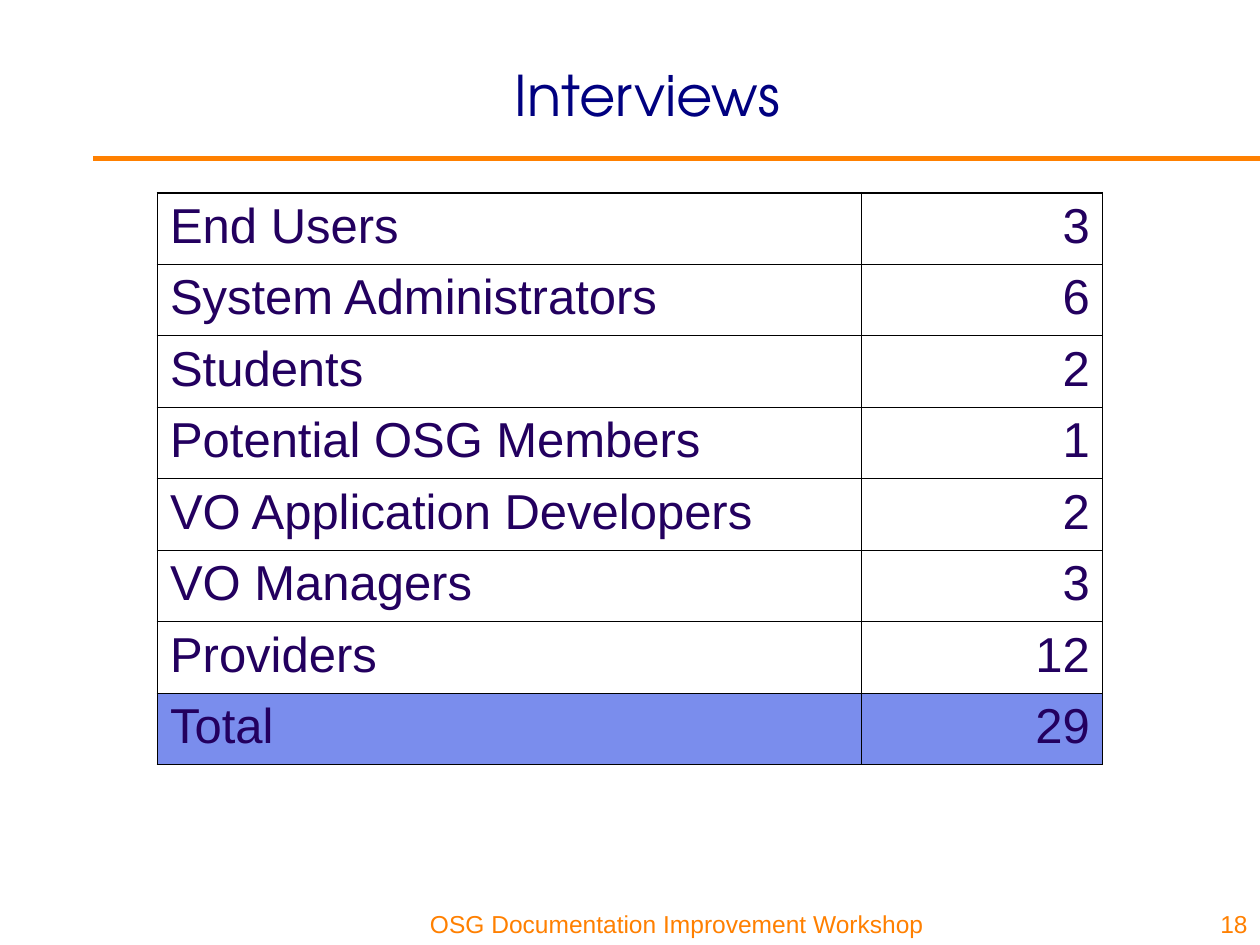
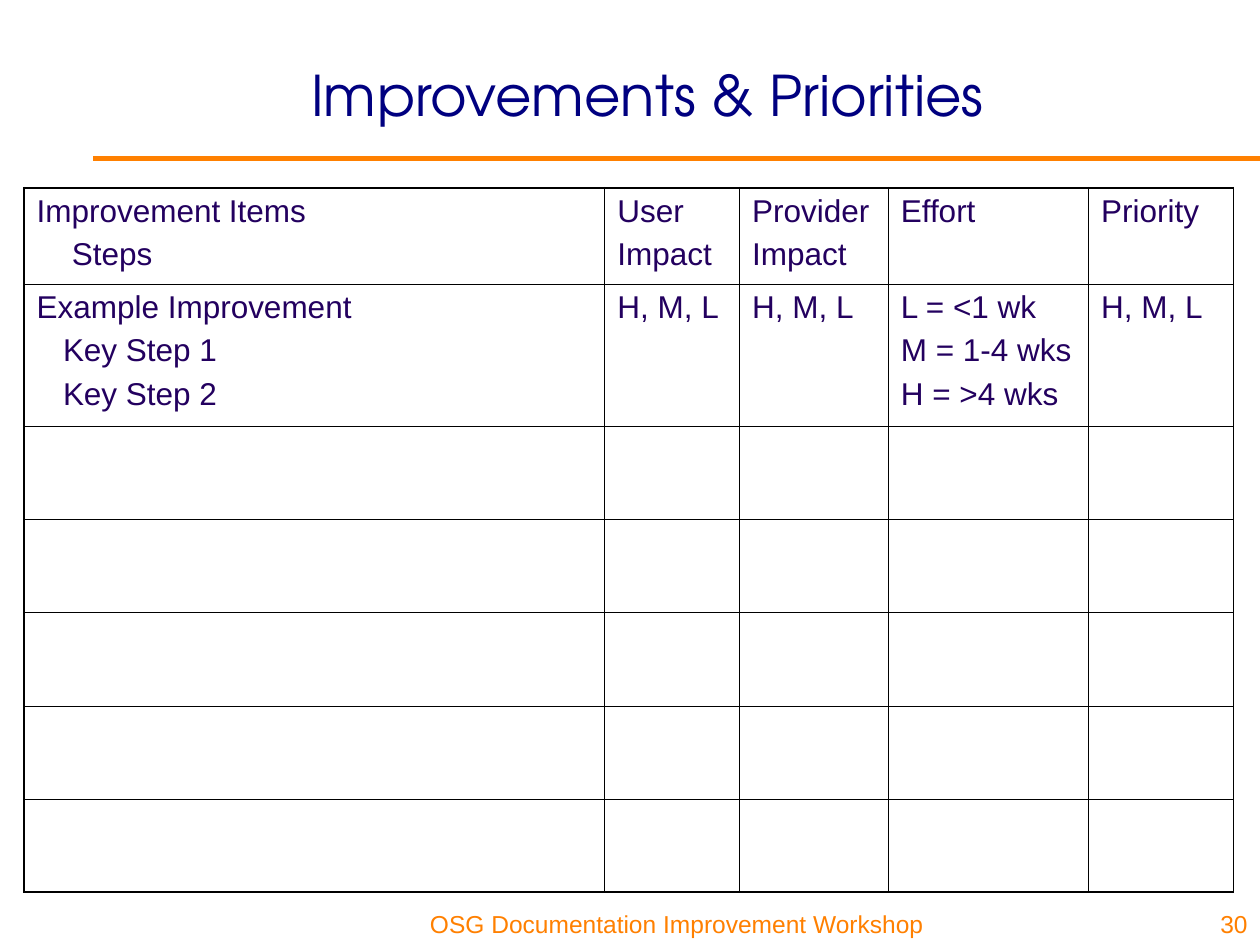
from lxml.etree import SubElement
from pptx import Presentation
from pptx.dml.color import RGBColor
from pptx.enum.shapes import MSO_CONNECTOR
from pptx.enum.text import MSO_ANCHOR, PP_ALIGN
from pptx.oxml.ns import qn
from pptx.util import Pt

SCALE = 9144
COLORS = {
    "title": "000080",
    "accent": "FF8000",
    "body": "23005F",
    "total": "7A8DED",
    "border": "000000",
}
TITLE_FONT = "TeX Gyre Adventor"
BODY_FONT = "Arial"
OUTER_BORDER, INNER_BORDER = 1.08, 0.45
FOOTER = "OSG Documentation Improvement Workshop"

INTERVIEWS = [
    ("End Users", "3"),
    ("System Administrators", "6"),
    ("Students", "2"),
    ("Potential OSG Members", "1"),
    ("VO Application Developers", "2"),
    ("VO Managers", "3"),
    ("Providers", "12"),
    ("Total", "29"),
]
LEVELS = "H, M, L"
EMPTY_ROWS = 5
IMPROVEMENTS = [
    ("Improvement Items\nSteps", "User\nImpact", "Provider\nImpact", "Effort", "Priority"),
    (
        "Example Improvement\nKey Step 1\nKey Step 2",
        LEVELS,
        LEVELS,
        "L = <1 wk\nM = 1-4 wks\nH = >4 wks",
        LEVELS,
    ),
] + [("",) * 5] * EMPTY_ROWS


def px(length):
    return length * SCALE


class Deck:
    def __init__(self):
        self.presentation = Presentation()
        self.presentation.slide_width = px(1000)
        self.presentation.slide_height = px(750)
        self.slide = None

    def add_slide(self, title, number):
        self.slide = self.presentation.slides.add_slide(self.presentation.slide_layouts[6])
        self.add_rule(74, 126, 1000, 126)
        self.add_text(FOOTER, (312, 700, 431, 50), align=PP_ALIGN.RIGHT)
        self.add_text(title, (134, 12, 760, 125), 32, TITLE_FONT, "title",
                      PP_ALIGN.CENTER, MSO_ANCHOR.MIDDLE)
        self.add_text(number, (954, 700, 46, 50), align=PP_ALIGN.RIGHT)

    def add_rule(self, left, top, right, bottom):
        line = self.slide.shapes.add_connector(
            MSO_CONNECTOR.STRAIGHT, px(left), px(top), px(right), px(bottom))
        line.line.color.rgb = RGBColor.from_string(COLORS["accent"])
        line.line.width = Pt(3)
        SubElement(line._element.spPr, qn("a:effectLst"))

    def add_text(self, text, box, size=14, font=BODY_FONT, color="accent",
                 align=PP_ALIGN.LEFT, anchor=MSO_ANCHOR.BOTTOM):
        shape = self.slide.shapes.add_textbox(*map(px, box))
        text_frame = shape.text_frame
        text_frame.word_wrap = True
        text_frame.vertical_anchor = anchor
        text_frame.text = text
        self.format_text(text_frame, size, font, color, align)

    def format_text(self, text_frame, size, font, color, align, space=0):
        for index, paragraph in enumerate(text_frame.paragraphs):
            paragraph.alignment = align
            if index and space:
                paragraph.space_before = Pt(space)
            for run in paragraph.runs:
                run.font.size = Pt(size)
                run.font.name = font
                run.font.color.rgb = RGBColor.from_string(COLORS[color])

    def add_table(self, rows, box, widths, size, space=0, aligns=None):
        shape = self.slide.shapes.add_table(len(rows), len(widths), *map(px, box))
        table = shape.table
        table.first_row = table.horz_banding = False
        for column, width in zip(table.columns, widths):
            column.width = px(width)
        last_row, last_column = len(rows) - 1, len(widths) - 1
        for row_index, row in enumerate(rows):
            for column_index, text in enumerate(row):
                cell = table.cell(row_index, column_index)
                cell.text_frame.text = text
                align = aligns[column_index] if aligns else PP_ALIGN.LEFT
                self.format_text(cell.text_frame, size, BODY_FONT, "body", align, space)
                self.add_borders(cell, {
                    "L": column_index == 0,
                    "R": column_index == last_column,
                    "T": row_index == 0,
                    "B": row_index == last_row,
                })
                cell.fill.background()
        return table

    def add_borders(self, cell, outer_sides):
        properties = cell._tc.get_or_add_tcPr()
        for side, outer in outer_sides.items():
            width = Pt(OUTER_BORDER if outer else INNER_BORDER)
            line = SubElement(properties, qn(f"a:ln{side}"), w=str(width))
            fill = SubElement(line, qn("a:solidFill"))
            SubElement(fill, qn("a:srgbClr"), val=COLORS["border"])

    def fill_row(self, row, color):
        for cell in row.cells:
            cell.fill.solid()
            cell.fill.fore_color.rgb = RGBColor.from_string(COLORS[color])

    def indent_steps(self, cell, indent):
        for paragraph in cell.text_frame.paragraphs[1:]:
            paragraph._p.get_or_add_pPr().set("marL", str(px(indent)))

    def save(self):
        self.presentation.save("out.pptx")


def add_interviews(deck):
    deck.add_slide("Interviews", "18")
    table = deck.add_table(INTERVIEWS, (125, 153, 750, 453), (559, 191), 28,
                           aligns=(PP_ALIGN.LEFT, PP_ALIGN.RIGHT))
    deck.fill_row(table.rows[len(INTERVIEWS) - 1], "total")


def add_improvements(deck):
    deck.add_slide("Improvements & Priorities", "30")
    table = deck.add_table(IMPROVEMENTS, (19, 149, 960, 559),
                           (461, 107, 118, 159, 115), 18, space=4.5)
    for row, height in zip(table.rows, [76, 113] + [74] * EMPTY_ROWS):
        row.height = px(height)
    for row_index, indent in enumerate((28, 21)):
        deck.indent_steps(table.cell(row_index, 0), indent)


def main():
    deck = Deck()
    add_interviews(deck)
    add_improvements(deck)
    deck.save()


if __name__ == "__main__":
    main()
